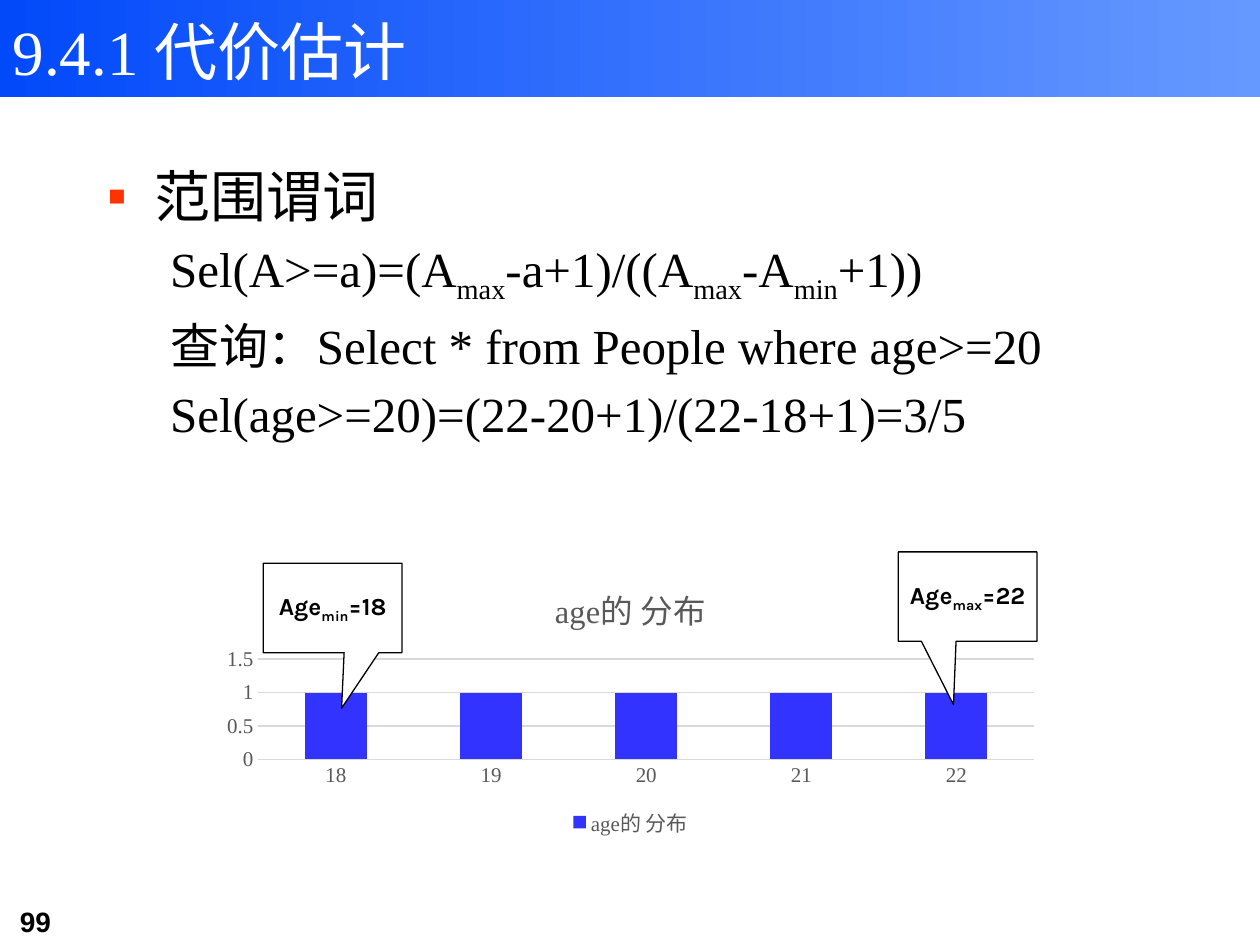
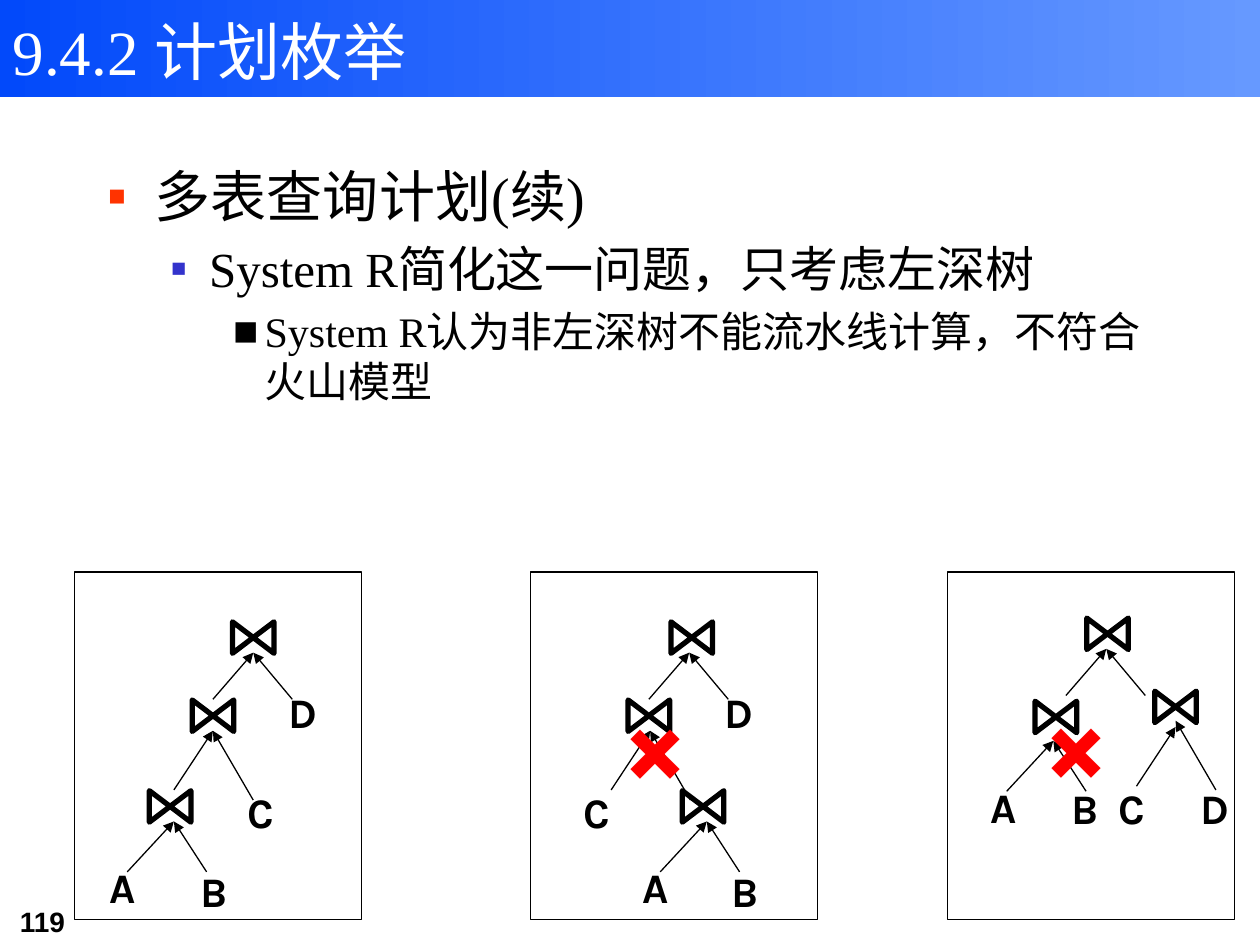
import pptx
import pptx.chart.data
import pptx.dml.color
import pptx.enum.chart
import pptx.enum.shapes
import pptx.enum.text
import pptx.oxml.ns
import pptx.util
from lxml import etree

Inches, Pt = pptx.util.Inches, pptx.util.Pt
RGBColor = pptx.dml.color.RGBColor
MSO_SHAPE = pptx.enum.shapes.MSO_SHAPE
PP_ALIGN = pptx.enum.text.PP_ALIGN
MSO_ANCHOR = pptx.enum.text.MSO_ANCHOR
qn = pptx.oxml.ns.qn

BAND_LEFT = RGBColor(0x02, 0x49, 0xFA)
BAND_RIGHT = RGBColor(0x66, 0x99, 0xFF)
WHITE = RGBColor(0xFF, 0xFF, 0xFF)
BLACK = RGBColor(0, 0, 0)
RED = RGBColor(0xFF, 0, 0)
BULLET_RED = RGBColor(0xFF, 0x33, 0)
BULLET_BLUE = RGBColor(0x33, 0x33, 0xCC)
BAR_BLUE = RGBColor(0x33, 0x33, 0xFF)
CHART_TEXT = RGBColor(0x59, 0x59, 0x59)
CHART_LINE = RGBColor(0xD9, 0xD9, 0xD9)

SERIF, SANS = "Times New Roman", "Karla"
TITLE = dict(name=SERIF, size=Pt(36), color=WHITE)
PAGE = dict(name="Arial", size=Pt(16), bold=True, color=BLACK)
CALLOUT = dict(name=SANS, size=Pt(14), bold=True, color=BLACK)
LEAF = dict(name=SANS, size=Pt(24), bold=True, color=BLACK)
CROSS = dict(name=SANS, size=Pt(66), bold=True, color=RED)
CHART_FONT = dict(name=SERIF, size=Pt(12), color=CHART_TEXT)
CHART_TITLE = dict(CHART_FONT, size=Pt(18.6), bold=False)

# Body styles: level, left indent, hanging indent, size, bullet, bullet colour
HEAD = (0, 0.38, -0.38, 32, "▪", BULLET_RED)
SUB = (1, 0.81, -0.31, 28, "▪", BULLET_BLUE)
DETAIL = (2, 1.25, -0.25, 24, "■", BLACK)
FORMULA = (1, 0.5, 0, 28, None, None)

# Arrows into a join: tail dx, tail dy, tip dy, all from the join's tip
ARROWS = {
    "top": [(-0.32, 0.37, 0), (0.31, 0.37, 0)],
    "mid": [(-0.31, 0.47, 0), (0.32, 0.55, 0)],
    "low": [(-0.37, 0.4, 0), (0.26, 0.4, 0)],
    "split": [(-0.31, 0.52, 0.05), (0.32, 0.55, 0)],
}

# Plan trees, relative to their frames.
# joins: centre x, centre y, tip x, tip y, arrow kind
PLANS = [
    dict(left=0.59, cross=None,
         joins=[(1.42, 0.52, 1.42, 0.64, "top"), (1.1, 1.14, 1.1, 1.26, "mid"),
                (0.76, 1.86, 0.79, 1.98, "low")],
         leaves=dict(A=(0.18, 2.25), B=(0.9, 2.28), C=(1.28, 1.65), D=(1.6, 0.86))),
    dict(left=4.21, cross=(0.65, 0.72),
         joins=[(1.28, 0.52, 1.26, 0.64, "top"), (0.94, 1.14, 0.95, 1.26, "mid"),
                (1.37, 1.86, 1.4, 1.98, "low")],
         leaves=dict(A=(0.79, 2.25), B=(1.5, 2.28), C=(0.32, 1.65), D=(1.44, 0.86))),
    dict(left=7.52, cross=(0.68, 0.71),
         joins=[(1.27, 0.49, 1.26, 0.61, "top"), (1.81, 1.07, 1.81, 1.18, "split"),
                (0.86, 1.15, 0.84, 1.34, "low")],
         leaves=dict(A=(0.24, 1.61), B=(0.89, 1.62), C=(1.26, 1.62), D=(1.91, 1.62))),
]


def set_font(font, fmt):
    for key, value in fmt.items():
        if key == "color":
            font.color.rgb = value
        else:
            setattr(font, key, value)


def add_runs(p, text, fmt):
    """Add text to p; parts between bars are subscripts."""
    for i, part in enumerate(text.split("|")):
        r = p.add_run()
        r.text = part
        set_font(r.font, fmt)
        if i % 2:
            r._r.get_or_add_rPr().set("baseline", "-25000")


def place(sp, x, y, w, h):
    sp.left, sp.top, sp.width, sp.height = map(Inches, (x, y, w, h))


def add_text(s, x, y, w, h, text, fmt):
    tf = s.shapes.add_textbox(*map(Inches, (x, y, w, h))).text_frame
    tf.word_wrap = True
    add_runs(tf.paragraphs[0], text, fmt)


def add_shape(s, kind, x, y, w, h, fill=None, line=0.75):
    sp = s.shapes.add_shape(kind, *map(Inches, (x, y, w, h)))
    sp.shadow.inherit = False
    if fill is None:
        sp.fill.background()
    else:
        sp.fill.solid()
        sp.fill.fore_color.rgb = fill
    sp.line.color.rgb = BLACK
    sp.line.width = Pt(line)
    return sp


def add_arrow(s, x1, y1, x2, y2):
    c = s.shapes.add_connector(pptx.enum.shapes.MSO_CONNECTOR.STRAIGHT,
                               *map(Inches, (x1, y1, x2, y2)))
    c.line.color.rgb = BLACK
    c.line.width = Pt(0.75)
    spPr = c._element.spPr
    etree.SubElement(spPr.find(qn("a:ln")), qn("a:tailEnd"), type="triangle")
    etree.SubElement(spPr, qn("a:effectLst"))


def add_band(s):
    band = add_shape(s, MSO_SHAPE.RECTANGLE, 0, 0, 10, 0.77)
    band.line.fill.background()
    band.fill.gradient()
    band.fill.gradient_angle = 0
    for stop, color in zip(band.fill.gradient_stops, (BAND_LEFT, BAND_RIGHT)):
        stop.color.rgb = color
    s.shapes._spTree.insert(2, band._element)  # behind the title


def fill_body(sp, items):
    tf = sp.text_frame
    tf.word_wrap = True
    tf.auto_size = pptx.enum.text.MSO_AUTO_SIZE.NONE
    for i, (text, style) in enumerate(items):
        level, left, hang, size, bullet, color = style
        p = tf.paragraphs[0] if i == 0 else tf.add_paragraph()
        p.level = level
        pPr = p._p.get_or_add_pPr()
        pPr.set("marL", str(Inches(left)))
        pPr.set("indent", str(Inches(hang)))
        if bullet:
            clr = etree.SubElement(pPr, qn("a:buClr"))
            etree.SubElement(clr, qn("a:srgbClr"), val=str(color))
            etree.SubElement(pPr, qn("a:buChar"), char=bullet)
        else:
            etree.SubElement(pPr, qn("a:buNone"))
        p.space_before = Pt(0.2 * size if i else 0)
        add_runs(p, text, dict(name=SERIF, size=Pt(size), color=BLACK))


def add_slide(prs, title, number, items):
    """Slide with the shared band, title, list and page number."""
    s = prs.slides.add_slide(prs.slide_layouts[1])
    add_band(s)
    place(s.shapes.title, 0, 0.05, 7.68, 0.71)
    tf = s.shapes.title.text_frame
    tf.auto_size = pptx.enum.text.MSO_AUTO_SIZE.NONE
    tf.vertical_anchor = MSO_ANCHOR.TOP
    tf.paragraphs[0].alignment = PP_ALIGN.LEFT
    add_runs(tf.paragraphs[0], title, TITLE)
    body = s.placeholders[1]
    place(body, 0.75, 1.23, 8.5, 5.44)
    fill_body(body, items)
    add_text(s, 0.06, 7.13, 1.22, 0.37, number, PAGE)
    return s


def add_age_chart(s, x, y, w, h):
    data = pptx.chart.data.CategoryChartData()
    data.categories = [str(age) for age in range(18, 23)]
    data.add_series("age的 分布", [1] * 5)
    chart = s.shapes.add_chart(pptx.enum.chart.XL_CHART_TYPE.COLUMN_STACKED,
                               *map(Inches, (x, y, w, h)), data).chart
    set_font(chart.font, CHART_FONT)
    chart.has_title = True
    add_runs(chart.chart_title.text_frame.paragraphs[0], "age的 分布", CHART_TITLE)
    chart.chart_title.include_in_layout = False
    chart.has_legend = True
    chart.legend.position = pptx.enum.chart.XL_LEGEND_POSITION.BOTTOM
    chart.legend.include_in_layout = False
    set_font(chart.legend.font, CHART_FONT)

    plot = chart.plots[0]
    plot.gap_width, plot.overlap, plot.vary_by_categories = 150, 100, False
    fill = plot.series[0].format.fill
    fill.solid()
    fill.fore_color.rgb = BAR_BLUE

    cat, val = chart.category_axis, chart.value_axis
    for axis in (cat, val):
        axis.major_tick_mark = pptx.enum.chart.XL_TICK_MARK.NONE
        set_font(axis.tick_labels.font, CHART_FONT)
    val.minimum_scale, val.maximum_scale, val.major_unit = 0, 1.5, 0.5
    val.format.line.fill.background()
    for line in (cat.format.line, val.major_gridlines.format.line):
        line.color.rgb = CHART_LINE
        line.width = Pt(0.75)


def add_callout(s, x, y, text, tip):
    sp = add_shape(s, MSO_SHAPE.RECTANGULAR_CALLOUT, x, y, 1.1, 0.71, WHITE)
    sp.adjustments[0], sp.adjustments[1] = tip
    tf = sp.text_frame
    tf.word_wrap = False
    tf.vertical_anchor = MSO_ANCHOR.MIDDLE
    tf.paragraphs[0].alignment = PP_ALIGN.CENTER
    add_runs(tf.paragraphs[0], text, CALLOUT)


def add_plan(s, x, y, joins, leaves, cross):
    """Framed join tree with its top left corner at x, y."""
    w, h = 0.25, 0.33
    for cx, cy, tip_x, tip_y, kind in joins:
        join = add_shape(s, MSO_SHAPE.FLOWCHART_COLLATE,
                         x + cx - w / 2, y + cy - h / 2, w, h, line=3)
        join.rotation = 90
        for dx, dy, tip_dy in ARROWS[kind]:
            add_arrow(s, x + tip_x + dx, y + tip_y + dy,
                      x + tip_x, y + tip_y + tip_dy)
    for name, (dx, dy) in leaves.items():
        add_text(s, x + dx, y + dy, 0.37, 0.5, name, LEAF)
    add_shape(s, MSO_SHAPE.RECTANGLE, x, y, 2.28, 2.76)
    if cross:
        add_text(s, x + cross[0], y + cross[1], 0.97, 1.21, "×", CROSS)


def cost_slide(prs):
    s = add_slide(prs, "9.4.1 代价估计", "99", [
        ("范围谓词", HEAD),
        ("Sel(A>=a)=(A|max|-a+1)/((A|max|-A|min|+1))", FORMULA),
        ("查询：Select * from People where age>=20", FORMULA),
        ("Sel(age>=20)=(22-20+1)/(22-18+1)=3/5", FORMULA),
    ])
    add_age_chart(s, 1.67, 4.47, 6.67, 2.22)
    add_callout(s, 2.09, 4.47, "Age|min|=18", (0.065, 1.121))
    add_callout(s, 7.13, 4.38, "Age|max|=22", (-0.102, 1.208))


def plan_slide(prs):
    s = add_slide(prs, "9.4.2 计划枚举", "119", [
        ("多表查询计划(续)", HEAD),
        ("System R简化这一问题，只考虑左深树", SUB),
        ("System R认为非左深树不能流水线计算，不符合火山模型", DETAIL),
    ])
    for plan in PLANS:
        add_plan(s, plan["left"], 4.54, plan["joins"], plan["leaves"], plan["cross"])


def main():
    prs = pptx.Presentation()
    prs.slide_width, prs.slide_height = Inches(10), Inches(7.5)
    cost_slide(prs)
    plan_slide(prs)
    prs.save("out.pptx")


if __name__ == "__main__":
    main()
